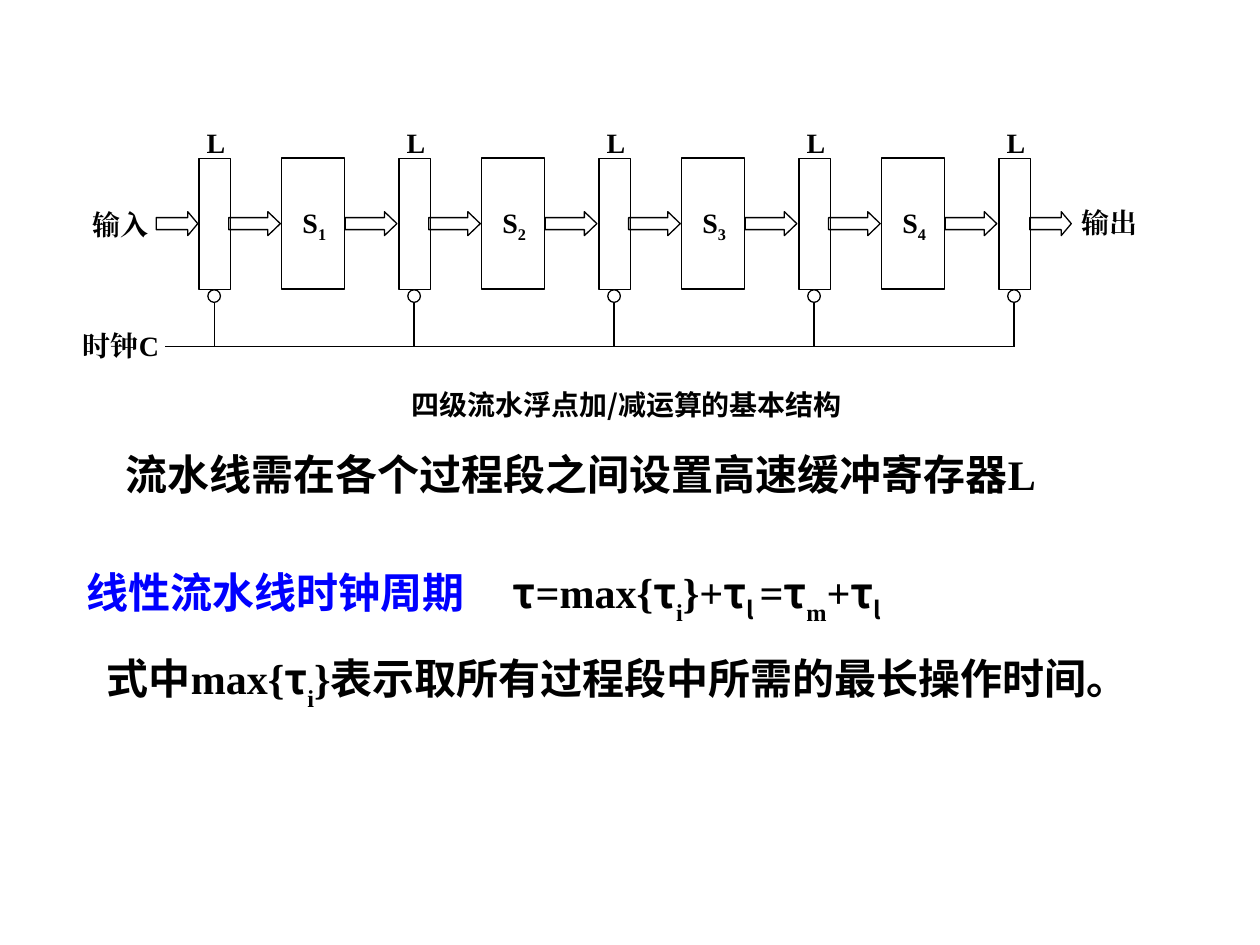
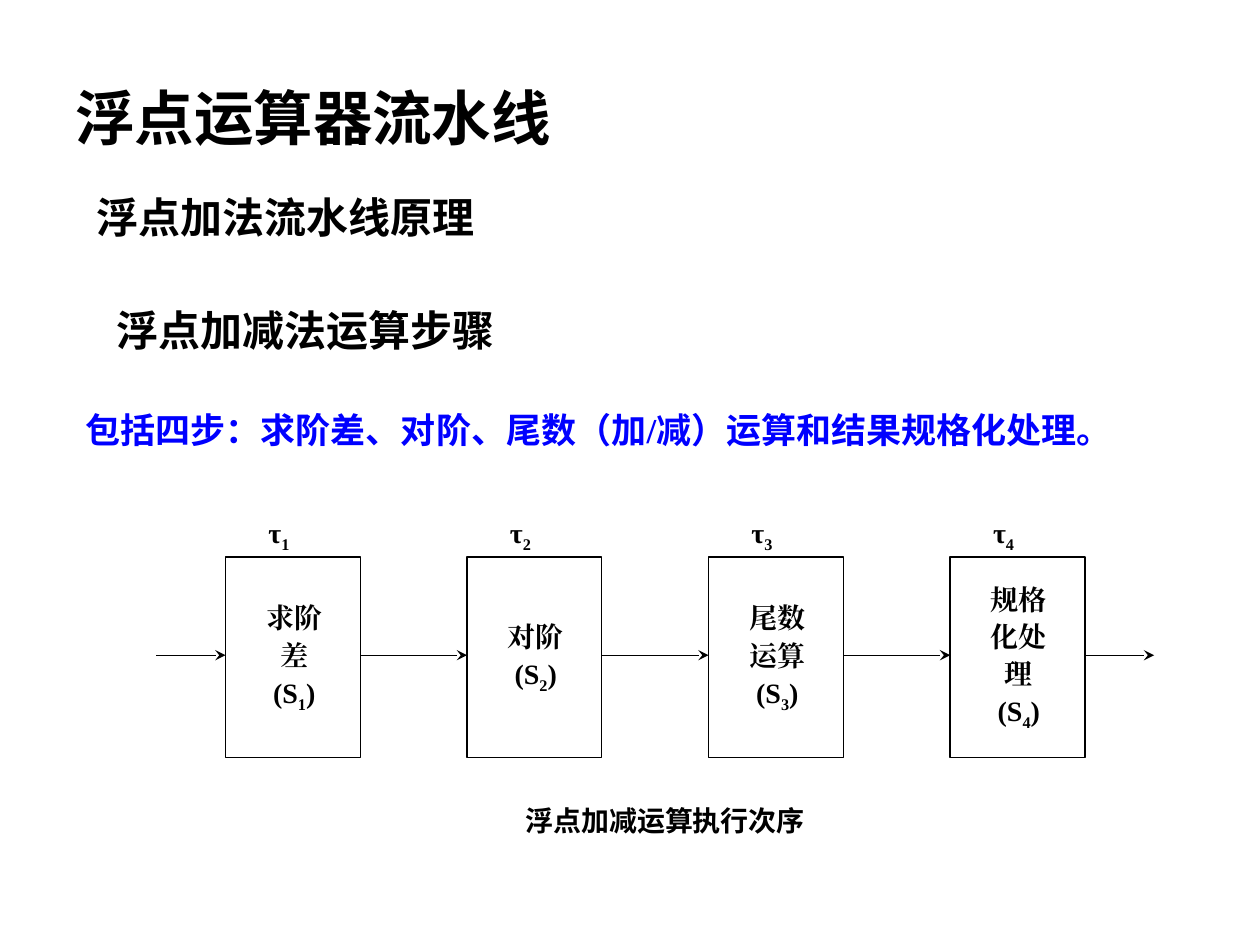
import dataclasses
import typing

import pptx
import pptx.dml.color
import pptx.enum.lang
import pptx.enum.shapes
import pptx.enum.text
import pptx.oxml
import pptx.oxml.ns
import pptx.util

COLORS = {"ink": "000000", "accent": "0000FF", "paper": "FFFFFF"}
SANS = "Noto Sans CJK SC"
SERIF = "Times New Roman"
LINE_WIDTH = 0.75
LABEL_SIZE = 16
BODY_SIZE = 24

# The slide is a grid of 100 columns and 75 rows
COLUMNS, ROWS = 100, 75
WIDTH, HEIGHT = pptx.util.Inches(10), pptx.util.Inches(7.5)

SHAPE = pptx.enum.shapes.MSO_SHAPE
ALIGN = pptx.enum.text.PP_ALIGN
ANCHOR = pptx.enum.text.MSO_ANCHOR


@dataclasses.dataclass(frozen=True)
class Area:
    """A rectangle in columns and rows."""
    column: float
    row: float
    columns: float
    rows: float

    def lengths(self) -> tuple[int, int, int, int]:
        return (across(self.column), down(self.row),
                across(self.columns), down(self.rows))


@dataclasses.dataclass(frozen=True)
class Span:
    text: str
    font: str = SANS
    baseline: int = 0


@dataclasses.dataclass(frozen=True)
class Style:
    size: float = BODY_SIZE
    color: str = "ink"
    align: typing.Any = ALIGN.LEFT
    anchor: typing.Any = ANCHOR.TOP
    inset: tuple[float, float] = (0.1, 0.05)
    space_after: float = 0


Paragraphs = list[list[Span]]
LABEL = Style(LABEL_SIZE, inset=(0, 0))
CENTRED = Style(LABEL_SIZE, align=ALIGN.CENTER, inset=(0, 0), space_after=2)
STAGE = dataclasses.replace(CENTRED, anchor=ANCHOR.MIDDLE)
CAPTION = Style(LABEL_SIZE, align=ALIGN.CENTER, inset=(0, 0.02))
TITLE = Style(34, anchor=ANCHOR.MIDDLE)


def across(columns: float) -> int:
    return round(WIDTH * columns / COLUMNS)


def down(rows: float) -> int:
    return round(HEIGHT * rows / ROWS)


def rgb(name: str) -> pptx.dml.color.RGBColor:
    return pptx.dml.color.RGBColor.from_string(COLORS[name])


def write(box: typing.Any, paragraphs: Paragraphs, style: Style) -> None:
    frame = box.text_frame
    frame.word_wrap = True
    frame.vertical_anchor = style.anchor
    frame.margin_left = frame.margin_right = pptx.util.Inches(style.inset[0])
    frame.margin_top = frame.margin_bottom = pptx.util.Inches(style.inset[1])
    for index, spans in enumerate(paragraphs):
        paragraph = frame.add_paragraph() if index else frame.paragraphs[0]
        paragraph.alignment = style.align
        paragraph.space_after = pptx.util.Pt(style.space_after)
        for span in spans:
            run = paragraph.add_run()
            run.text = span.text
            run.font.name = span.font
            run.font.size = pptx.util.Pt(style.size)
            run.font.bold = True
            run.font.color.rgb = rgb(style.color)
            run.font.language_id = pptx.enum.lang.MSO_LANGUAGE_ID.SIMPLIFIED_CHINESE
            properties = run.font._element
            east_asian = pptx.oxml.parse_xml(
                f'<a:ea {pptx.oxml.ns.nsdecls("a")} typeface="{span.font}"/>')
            properties.find(pptx.oxml.ns.qn("a:latin")).addnext(east_asian)
            if span.baseline:
                properties.set("baseline", str(span.baseline * 1000))


def add_text(page: typing.Any, area: Area, paragraphs: Paragraphs,
             style: Style = Style()) -> None:
    write(page.shapes.add_textbox(*area.lengths()), paragraphs, style)


def add_outline(page: typing.Any, kind: typing.Any, area: Area,
                fill: str | None = None, outlined: bool = True) -> typing.Any:
    shape = page.shapes.add_shape(kind, *area.lengths())
    shape.shadow.inherit = False
    if fill:
        shape.fill.solid()
        shape.fill.fore_color.rgb = rgb(fill)
    else:
        shape.fill.background()
    if outlined:
        shape.line.color.rgb = rgb("ink")
        shape.line.width = pptx.util.Pt(LINE_WIDTH)
    else:
        shape.line.fill.background()
    return shape


def add_caption(page: typing.Any, area: Area, text: str) -> None:
    box = add_outline(page, SHAPE.FLOWCHART_PROCESS, area, outlined=False)
    write(box, [[Span(text)]], CAPTION)


def add_block_arrow(page: typing.Any, column: float, columns: float) -> None:
    arrow = add_outline(page, SHAPE.RIGHT_ARROW, Area(column, 16.8, columns, 1.9))
    arrow.adjustments[0] = 0.5
    arrow.adjustments[1] = 0.52 if columns > 4 else 0.42


def add_line(page: typing.Any, start: tuple[float, float],
             end: tuple[float, float], arrow: bool = False) -> None:
    line = page.shapes.add_connector(
        pptx.enum.shapes.MSO_CONNECTOR.STRAIGHT,
        across(start[0]), down(start[1]), across(end[0]), down(end[1]))
    line.line.color.rgb = rgb("ink")
    line.line.width = pptx.util.Pt(LINE_WIDTH)
    namespace = pptx.oxml.ns.nsdecls("a")
    if arrow:
        line.line._get_or_add_ln().append(
            pptx.oxml.parse_xml(f'<a:tailEnd {namespace} type="stealth"/>'))
    line._element.spPr.append(pptx.oxml.parse_xml(f"<a:effectLst {namespace}/>"))


def subscripted(symbol: str, number: int) -> list[Span]:
    return [Span(symbol, SERIF), Span(str(number), SERIF, -25)]


def build_structure(page: typing.Any) -> None:
    first, pitch, stage_count = 15.8, 15.87, 4
    clock_row = 27.5

    # Registers, each with its clock input
    for index in range(stage_count + 1):
        left = first + index * pitch
        add_text(page, Area(left + 0.6, 9.95, 2.1, 2.3), [[Span("L", SERIF)]], LABEL)
        add_outline(page, SHAPE.RECTANGLE, Area(left, 12.6, 2.5, 10.4))
        add_line(page, (left + 1.2, clock_row), (left + 1.2, 23.8))
        add_outline(page, SHAPE.OVAL, Area(left + 0.7, 23, 1, 1), "paper")

    # Stages between the registers
    for index in range(stage_count):
        left = first + index * pitch
        add_block_arrow(page, left + 2.35, 4.1)
        add_outline(page, SHAPE.RECTANGLE, Area(left + 6.55, 12.55, 5, 10.4))
        add_text(page, Area(left + 7.35, 16.3, 3.6, 2.6),
                 [subscripted("S", index + 1)], CENTRED)
        add_block_arrow(page, left + 11.6, 4.1)

    # Input, output and clock
    last = first + stage_count * pitch
    add_block_arrow(page, 12.4, 3.3)
    add_block_arrow(page, last + 2.45, 3.3)
    add_line(page, (13.1, clock_row), (last + 1.2, clock_row))
    for text, area in (("输入", Area(6.7, 16.5, 5.7, 2.6)),
                       ("输出", Area(85.2, 16.3, 5.7, 2.6)),
                       ("时钟C", Area(5.9, 26.1, 7.4, 2.6))):
        add_text(page, area, [[Span(text, SERIF)]], CENTRED)
    add_caption(page, Area(25.3, 30.6, 48.9, 4.7), "四级流水浮点加/减运算的基本结构")

    # Explanation and clock period
    tau = Span("τ")
    maximum = [Span("max{", SERIF), tau, Span("i", SERIF, -30)]
    add_text(page, Area(9, 35.1, 87.5, 5.7),
             [[Span("流水线需在各个过程段之间设置高速缓冲寄存器"), Span("L", SERIF)]])
    add_text(page, Area(5.9, 44.5, 33, 6), [[Span("线性流水线时钟周期")]],
             Style(color="accent"))
    add_text(page, Area(39.7, 44.5, 52, 6),
             [[tau, Span("=", SERIF), *maximum, Span("}+", SERIF), tau,
               Span("l ", SANS, -25), Span("=", SERIF), tau,
               Span("m", SERIF, -30), Span("+", SERIF), tau, Span("l", SANS, -25)]])
    add_text(page, Area(7.5, 51.3, 85.8, 9),
             [[Span("式中"), *maximum, Span("}", SERIF),
               Span("表示取所有过程段中所需的最长操作时间。")]])


def build_principle(page: typing.Any) -> None:
    # Headings
    add_text(page, Area(5, 3, 90, 12.5), [[Span("浮点运算器流水线")]], TITLE)
    add_text(page, Area(6.7, 14.7, 47.5, 5.7), [[Span("浮点加法流水线原理")]])
    add_text(page, Area(8.3, 23.7, 51.9, 5.7), [[Span("浮点加减法运算步骤")]])
    add_text(page, Area(5.8, 31.9, 94.2, 5),
             [[Span("包括四步:求阶差、对阶、尾数(加".replace(":", "：").replace("(", "（")),
               Span("/", SERIF), Span("减）运算和结果规格化处理。")]],
             Style(20, "accent"))

    # Four steps joined by arrows
    steps = [("求阶", "差"), ("对阶",), ("尾数", "运算"), ("规格", "化处", "理")]
    first, pitch, width, arrow_row = 17.9, 19.17, 10.7, 52
    add_line(page, (12.4, arrow_row), (first, arrow_row), arrow=True)
    for index, lines in enumerate(steps):
        number = index + 1
        left = first + index * pitch
        end = left + pitch if number < len(steps) else 91.6
        add_text(page, Area(left + 3.4, 40.9, 5.2, 2.5),
                 [subscripted("τ", number)], LABEL)
        add_outline(page, SHAPE.RECTANGLE, Area(left, 44.2, width, 15.9))
        name = [[Span(line, SERIF)] for line in lines]
        add_text(page, Area(left + 2.6, 44.2, 5.7, 15.9),
                 [*name, [*subscripted("(S", number), Span(")", SERIF)]], STAGE)
        add_line(page, (left + width, arrow_row), (end, arrow_row), arrow=True)
    add_caption(page, Area(27, 63.6, 51.6, 5.3), "浮点加减运算执行次序")


deck = pptx.Presentation()
deck.slide_width, deck.slide_height = WIDTH, HEIGHT
for build in (build_structure, build_principle):
    build(deck.slides.add_slide(deck.slide_layouts[6]))
deck.save("out.pptx")
